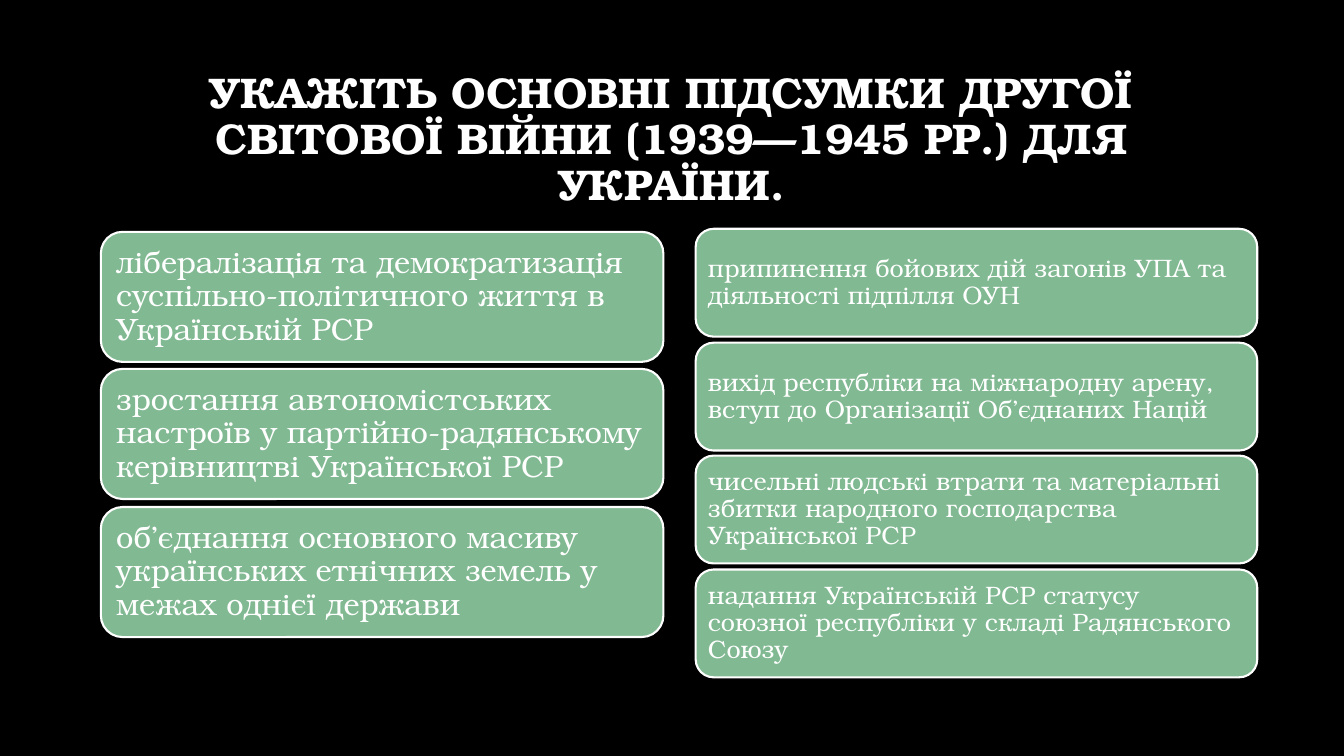
from dataclasses import dataclass

import pptx
import pptx.dml.color
import pptx.enum.shapes
import pptx.enum.text
import pptx.util

PX = 9144  # EMU per px, 100 px to the inch
FONT = "TeX Gyre Bonum"
COLOURS = {"background": "000000", "card": "81B992", "text": "FFFFFF"}
TITLE = "УКАЖІТЬ ОСНОВНІ ПІДСУМКИ ДРУГОЇ СВІТОВОЇ ВІЙНИ (1939—1945 РР.) ДЛЯ УКРАЇНИ."


@dataclass(frozen=True)
class Column:
    left: int
    first_top: int
    last_top: int
    width: int
    height: int
    margin: int
    size: int
    space_after: float
    results: tuple[str, ...]


COLUMNS = (
    Column(100, 230, 503, 558, 129, 9, 22, 7.7, (
        "лібералізація та демократизація суспільно-політичного життя в Українській РСР",
        "зростання автономістських настроїв у партійно-радянському керівництві Української РСР",
        "об’єднання основного масиву українських етнічних земель у межах однієї держави",
    )),
    Column(690, 227, 565, 557, 107, 7, 18, 6.3, (
        "припинення бойових дій загонів УПА та діяльності підпілля ОУН",
        "вихід республіки на міжнародну арену, вступ до Організації Об’єднаних Націй",
        "чисельні людські втрати та матеріальні збитки народного господарства Української РСР",
        "надання Українській РСР статусу союзної республіки у складі Радянського Союзу",
    )),
)


def px(length: int) -> pptx.util.Emu:
    return pptx.util.Emu(length * PX)


def colour(name: str) -> pptx.dml.color.RGBColor:
    return pptx.dml.color.RGBColor.from_string(COLOURS[name])


def apply(target: object, values: dict) -> None:
    for name, value in values.items():
        setattr(target, name, value)


def write(shape, text: str, size: float, bold: bool, align, space_after: float = 0) -> None:
    frame = shape.text_frame
    apply(frame, {
        "text": text,
        "word_wrap": True,
        "auto_size": pptx.enum.text.MSO_AUTO_SIZE.NONE,
        "vertical_anchor": pptx.enum.text.MSO_ANCHOR.MIDDLE,
    })
    para = frame.paragraphs[0]
    apply(para, {
        "alignment": align,
        "line_spacing": 0.9,
        "space_before": pptx.util.Pt(0),
        "space_after": pptx.util.Pt(space_after),
    })
    span = para.runs[0]
    apply(span.font, {"name": FONT, "size": pptx.util.Pt(size), "bold": bold})
    span.font.color.rgb = colour("text")


def draw_column(page, column: Column) -> None:
    pitch = (column.last_top - column.first_top) / (len(column.results) - 1)
    for row, result in enumerate(column.results):
        top = round(column.first_top + row * pitch)
        card = page.shapes.add_shape(
            pptx.enum.shapes.MSO_SHAPE.ROUNDED_RECTANGLE,
            px(column.left), px(top), px(column.width), px(column.height),
        )
        card.shadow.inherit = False
        card.fill.solid()
        card.fill.fore_color.rgb = colour("card")
        card.line.color.rgb = colour("text")
        card.line.width = pptx.util.Pt(1.5)
        sides = ("left", "top", "right", "bottom")
        apply(card.text_frame, {f"margin_{side}": px(column.margin) for side in sides})
        write(card, result, column.size, False, pptx.enum.text.PP_ALIGN.LEFT,
              column.space_after)


def main() -> None:
    deck = pptx.Presentation()
    apply(deck, {"slide_width": px(1333), "slide_height": px(750)})
    page = deck.slides.add_slide(deck.slide_layouts.get_by_name("Title Only"))
    page.background.fill.solid()
    page.background.fill.fore_color.rgb = colour("background")

    # Title
    title = page.shapes.title
    apply(title, {"left": px(100), "top": px(67), "width": px(1132), "height": px(145)})
    write(title, TITLE, 30.6, True, pptx.enum.text.PP_ALIGN.CENTER)

    # Two columns of cards
    for column in COLUMNS:
        draw_column(page, column)

    deck.save("out.pptx")


if __name__ == "__main__":
    main()
